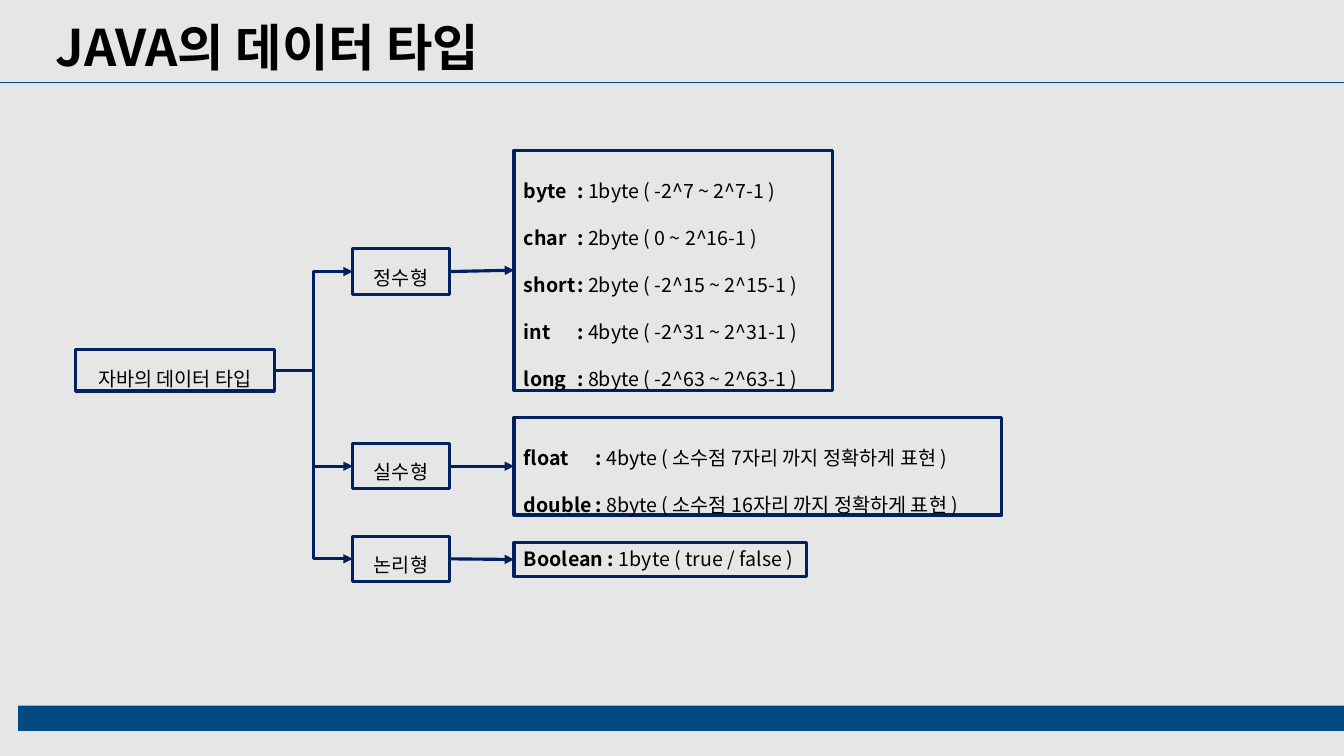
from lxml.etree import SubElement
from pptx import Presentation
from pptx.dml.color import RGBColor
from pptx.enum.shapes import MSO_CONNECTOR as Link, MSO_SHAPE as Shape
from pptx.enum.text import MSO_ANCHOR as Anchor, MSO_AUTO_SIZE as Fit, PP_ALIGN as Align
from pptx.oxml.ns import qn
from pptx.util import Pt

BLACK = RGBColor(0x00, 0x00, 0x00)
NAVY = RGBColor(0x00, 0x20, 0x60)
BLUE = RGBColor(0x02, 0x4B, 0x80)
GREY = RGBColor(0xE7, 0xE6, 0xE6)

RIGHT_SITE, LEFT_SITE = 3, 1
KIND_LEFT, KIND_WIDTH, KIND_HEIGHT = 252, 69, 32.4
DETAIL_LEFT = 367.2

# Each kind: name, top, detail box (top, width, height), tab stop, line spacing, types
KINDS = [
    ("정수형", 177.8, (107.3, 227.5, 171.4), 38, 2, [
        ("byte", "1byte ( -2^7 ~ 2^7-1 )"),
        ("char", "2byte ( 0 ~ 2^16-1 )"),
        ("short", "2byte ( -2^15 ~ 2^15-1 )"),
        ("int", "4byte ( -2^31 ~ 2^31-1 )"),
        ("long", "8byte ( -2^63 ~ 2^63-1 )"),
    ]),
    ("실수형", 316.8, (298.1, 348.5, 69.8), 51, 2, [
        ("float", "4byte ( 소수점 7자리 까지 정확하게 표현 )"),
        ("double", "8byte ( 소수점 16자리 까지 정확하게 표현 )"),
    ]),
    ("논리형", 383, (387.4, 208.8, 24.5), None, 1, [
        ("Boolean", "1byte ( true / false )"),
    ]),
]


class SlideBuilder:
    font_name = "Noto Sans CJK KR"
    text_size = 14
    line_width = 2.25

    def __init__(self, deck):
        self.page = deck.slides.add_slide(deck.slide_layouts[5])
        fill = self.page.background.fill
        fill.solid()
        fill.fore_color.rgb = GREY

    def add_span(self, para, text, size=text_size, bold=False):
        span = para.add_run()
        span.text = text
        values = {"name": self.font_name, "size": Pt(size), "bold": bold}
        for name, value in values.items():
            setattr(span.font, name, value)
        span.font.color.rgb = BLACK
        SubElement(span.font._element, qn("a:ea"), typeface=self.font_name)

    def frame(self, holder):
        values = {"word_wrap": True, "auto_size": Fit.SHAPE_TO_FIT_TEXT,
                  "vertical_anchor": Anchor.TOP}
        for name, value in values.items():
            setattr(holder.text_frame, name, value)
        return holder.text_frame

    def title(self, text, left, top, width, height):
        holder = self.page.shapes.title
        area = {"left": left, "top": top, "width": width, "height": height}
        for name, value in area.items():
            setattr(holder, name, Pt(value))
        para = self.frame(holder).paragraphs[0]
        para.alignment = Align.LEFT
        self.add_span(para, text, size=36, bold=True)

    def bar(self, *area):
        bar = self.page.shapes.add_shape(Shape.RECTANGLE, *map(Pt, area))
        bar.shadow.inherit = False
        bar.fill.solid()
        bar.fill.fore_color.rgb = BLUE
        bar.line.fill.background()

    def box(self, *area):
        box = self.page.shapes.add_textbox(*map(Pt, area))
        box.line.color.rgb = NAVY
        box.line.width = Pt(self.line_width)
        self.frame(box)
        return box

    def label(self, text, *area):
        box = self.box(*area)
        para = box.text_frame.paragraphs[0]
        para.alignment = Align.CENTER
        para.line_spacing = 1.5
        self.add_span(para, text)
        return box

    def type_list(self, types, tab, spacing, *area):
        box = self.box(*area)
        text_frame = box.text_frame
        for index, (name, detail) in enumerate(types):
            para = text_frame.add_paragraph() if index else text_frame.paragraphs[0]
            para.line_spacing = float(spacing)
            if tab:
                stops = SubElement(para._p.get_or_add_pPr(), qn("a:tabLst"))
                SubElement(stops, qn("a:tab"), pos=str(Pt(tab)), algn="l")
            gap = "\t" if tab else " "
            self.add_span(para, f"{name}{gap}: ", bold=True)
            self.add_span(para, detail)
        return box

    def line(self, kind, points, color, width):
        line = self.page.shapes.add_connector(kind, *map(Pt, points))
        line.line.color.rgb = color
        line.line.width = Pt(width)
        SubElement(line._element.spPr, qn("a:effectLst"))
        return line

    def arrow(self, kind, start, end):
        arrow = self.line(kind, (0, 0, 0, 0), NAVY, self.line_width)
        arrow.begin_connect(start, RIGHT_SITE)
        arrow.end_connect(end, LEFT_SITE)
        outline = arrow._element.spPr.find(qn("a:ln"))
        SubElement(outline, qn("a:tailEnd"), type="triangle")


def main():
    deck = Presentation()
    deck.slide_width, deck.slide_height = Pt(960), Pt(540)
    slide = SlideBuilder(deck)

    # Title and page decoration
    slide.bar(13, 504, 947, 18)
    slide.title("JAVA의 데이터 타입", 32.4, 8, 627, 51)
    slide.line(Link.STRAIGHT, (0, 59, 960, 59), BLUE, 0.5)

    # Tree of data types
    root = slide.label("자바의 데이터 타입", 54, 249.8, 142, 29.5)
    for name, top, (detail_top, width, height), tab, spacing, types in KINDS:
        kind = slide.label(name, KIND_LEFT, top, KIND_WIDTH, KIND_HEIGHT)
        detail = slide.type_list(types, tab, spacing,
                                 DETAIL_LEFT, detail_top, width, height)
        slide.arrow(Link.ELBOW, root, kind)
        slide.arrow(Link.STRAIGHT, kind, detail)

    deck.save("out.pptx")


if __name__ == "__main__":
    main()
